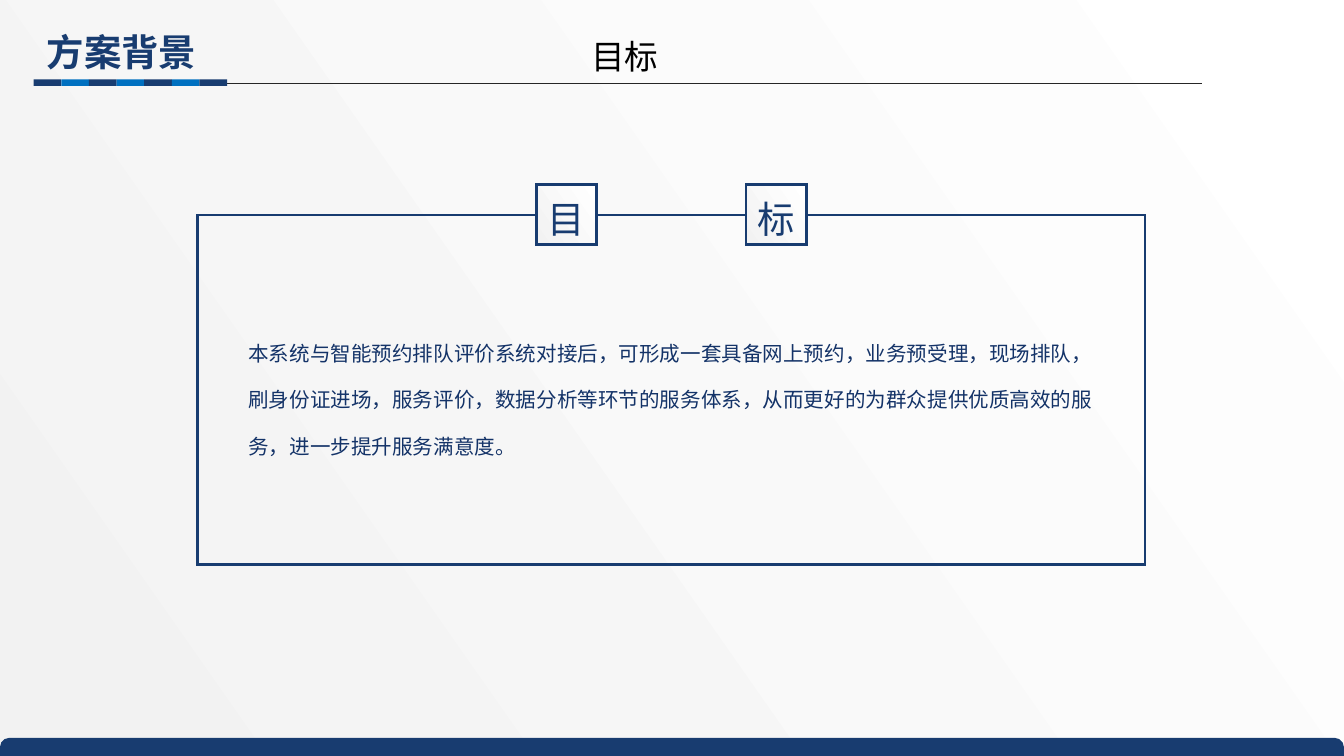
from lxml import etree
from pptx import Presentation
from pptx.dml.color import RGBColor
from pptx.enum.shapes import MSO_CONNECTOR, MSO_SHAPE
from pptx.enum.text import MSO_ANCHOR, PP_ALIGN
from pptx.oxml.ns import qn
from pptx.util import Inches, Pt

RECTANGLE = MSO_SHAPE.RECTANGLE
ROUNDED_TOP = MSO_SHAPE.ROUND_2_SAME_RECTANGLE
STRAIGHT = MSO_CONNECTOR.STRAIGHT
CENTER, JUSTIFY, LEFT = PP_ALIGN.CENTER, PP_ALIGN.JUSTIFY, PP_ALIGN.LEFT
TOP, MIDDLE = MSO_ANCHOR.TOP, MSO_ANCHOR.MIDDLE
FONT = "Noto Sans CJK SC"
COLORS = {
    "navy": "183C70",
    "blue": "0070C0",
    "body": "143368",
    "black": "000000",
    "rule": "262626",
    "gray": "F2F2F2",
    "white": "FFFFFF",
}
GOAL_TEXT = (
    "本系统与智能预约排队评价系统对接后，可形成一套具备网上预约，业务预受理，现场排队，"
    "刷身份证进场，服务评价，数据分析等环节的服务体系，从而更好的为群众提供优质高效的服务，"
    "进一步提升服务满意度。"
)


def color(name):
    return RGBColor.from_string(COLORS[name])


def fill_gradient(fill):
    fill.gradient()
    fill.gradient_angle = 35
    for stop, name in zip(fill.gradient_stops, ("gray", "white")):
        stop.color.rgb = color(name)


def write_text(shape, text, size, name, bold=False, align=LEFT, anchor=TOP, spacing=1.0):
    frame = shape.text_frame
    frame.word_wrap = True
    frame.vertical_anchor = anchor
    paragraph = frame.paragraphs[0]
    paragraph.alignment = align
    paragraph.line_spacing = spacing
    run = paragraph.add_run()
    run.text = text
    run.font.size = Pt(size)
    run.font.bold = bold
    run.font.color.rgb = color(name)
    run.font.name = FONT
    east_asian = etree.SubElement(run.font._element, qn("a:ea"))
    east_asian.set("typeface", FONT)


def add_text(slide, text, left, top, width, height, **text_format):
    box = slide.shapes.add_textbox(Inches(left), Inches(top), Inches(width), Inches(height))
    write_text(box, text, **text_format)


def add_box(slide, left, top, width, height, fill=None, line=None, kind=RECTANGLE):
    shape = slide.shapes.add_shape(kind, Inches(left), Inches(top), Inches(width), Inches(height))
    shape.shadow.inherit = False
    if fill:
        shape.fill.solid()
        shape.fill.fore_color.rgb = color(fill)
    else:
        shape.fill.background()
    if line:
        shape.line.color.rgb = color(line)
        shape.line.width = Pt(1.5)
        miter = etree.SubElement(shape.line._get_or_add_ln(), qn("a:miter"))
        miter.set("lim", "800000")
    else:
        shape.line.fill.background()
    return shape


def add_goal_panel(slide, left, top, width, height):
    add_box(slide, left, top, width, height, line="navy")
    side = 0.45
    for index, character in enumerate("目标"):
        tile = add_box(slide, left + 2.52 + index * 1.56, top - 0.23, side, side, line="navy")
        fill_gradient(tile.fill)
        tile.text_frame.margin_left = tile.text_frame.margin_right = 0
        write_text(tile, character, size=20, name="navy", align=CENTER, anchor=MIDDLE, spacing=1.2)
    add_text(slide, GOAL_TEXT, left + 0.28, top + 0.72, 6.5, 1.15,
             size=11, name="body", spacing=1.9)


def add_header(slide, left, top, width):
    add_text(slide, "方案背景", left, top, 1.44, 0.44,
             size=20, name="navy", bold=True, align=JUSTIFY)
    add_text(slide, "目标", left + 4.05, top + 0.05, 1.3, 0.4,
             size=18, name="black", align=JUSTIFY)
    strip_width, count = 1.44, 7
    rule = slide.shapes.add_connector(
        STRAIGHT, Inches(left + width), Inches(top + 0.45),
        Inches(left + strip_width), Inches(top + 0.45))
    rule.line.color.rgb = color("rule")
    rule.line.width = Pt(0.5)
    etree.SubElement(rule._element.spPr, qn("a:effectLst"))
    step = strip_width / count
    for index in range(count):
        add_box(slide, left + index * step, top + 0.42, step, 0.05,
                fill=("navy", "blue")[index % 2])


def add_footer(slide, left, top, width, height):
    bar = add_box(slide, left, top, width, height, fill="navy", kind=ROUNDED_TOP)
    bar.adjustments[0] = 0.5


def main():
    presentation = Presentation()
    presentation.slide_width = Inches(10)
    presentation.slide_height = Inches(10) * 9 // 16
    slide = presentation.slides.add_slide(presentation.slide_layouts[6])
    fill_gradient(slide.background.fill)
    add_goal_panel(slide, 1.47, 1.6, 7.05, 2.6)
    add_footer(slide, 0, 5.49, 10, 0.14)
    add_header(slide, 0.25, 0.17, 8.69)
    presentation.save("out.pptx")


if __name__ == "__main__":
    main()
